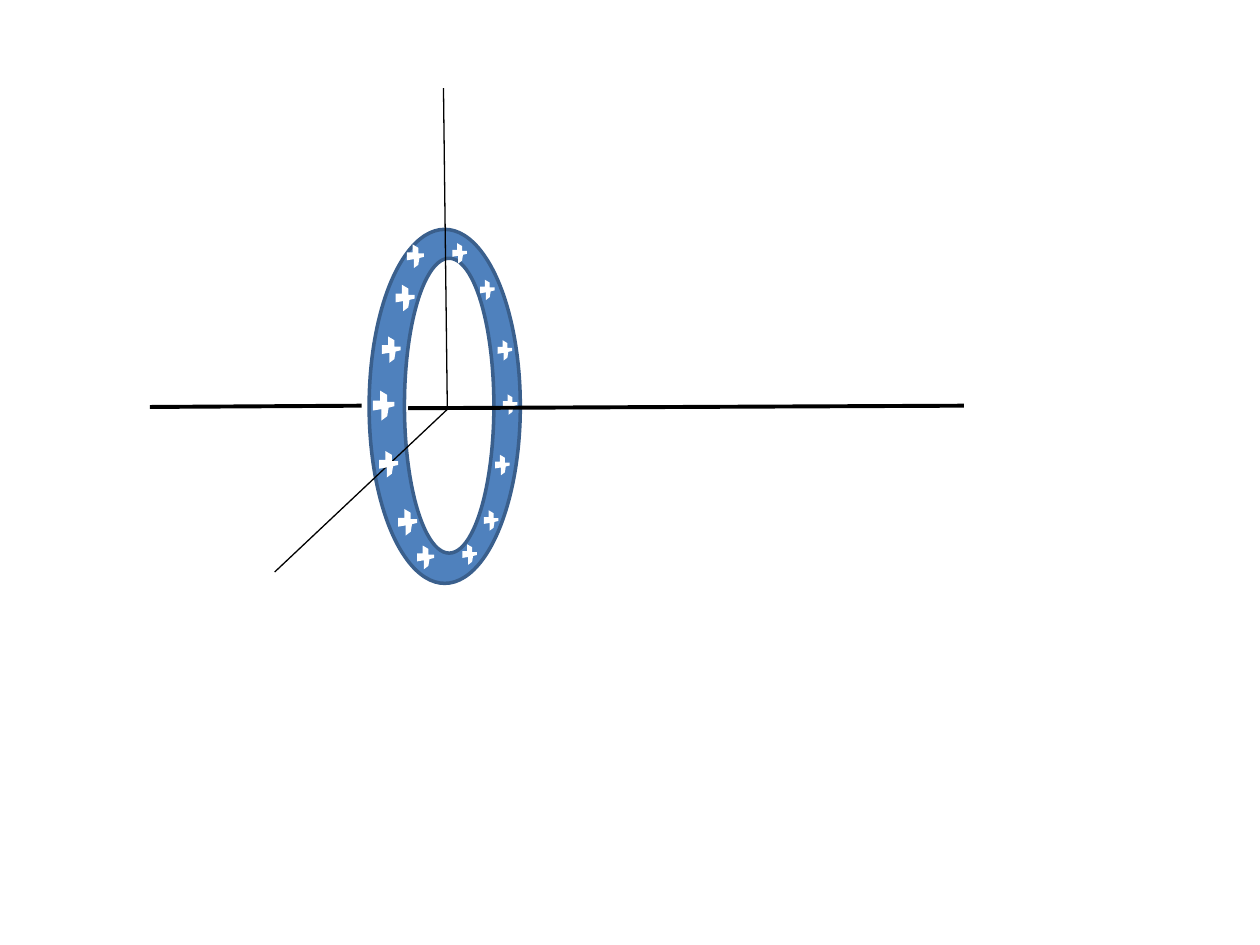
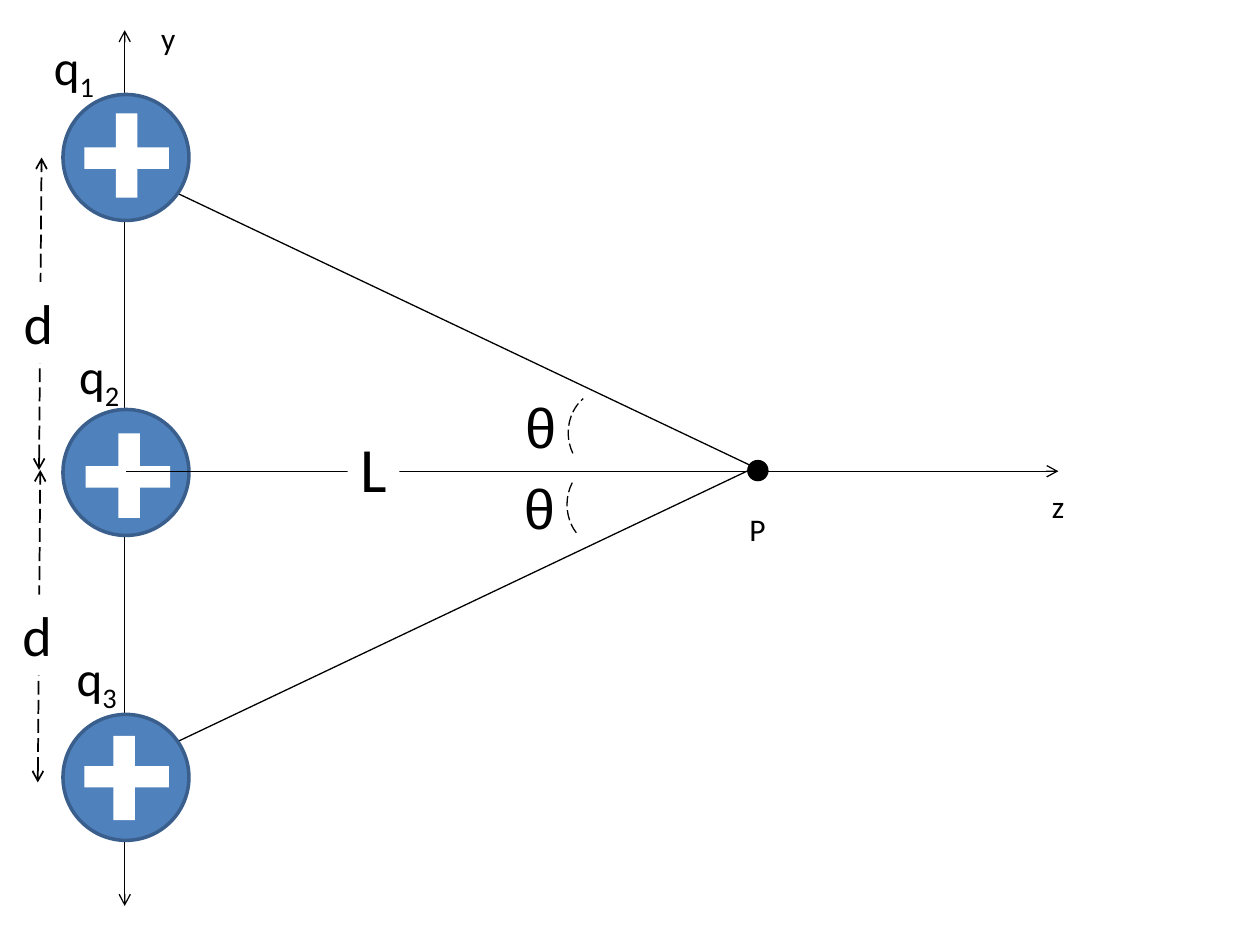
from dataclasses import dataclass

from lxml import etree
from pptx import Presentation
from pptx import util as u
from pptx.dml.color import RGBColor
from pptx.enum import dml, shapes, text
from pptx.oxml import ns

BLUE, EDGE, BLACK, WHITE = "4F81BD", "3A5F8C", "000000", "FFFFFF"
BODY_FONT, SYMBOL_FONT = "Calibri", "Arial"
Point = tuple[float, float]
Box = tuple[float, float, float, float]


@dataclass
class RingMark:
    """A plus sign on the ring, with its scale against the common size."""
    left: float
    top: float
    scale: float


@dataclass
class Charge:
    """A numbered charge: ball, label and the two bars of its plus sign."""
    number: str
    top: float
    label: Point
    level_bar: Point
    upright_bar: Point


@dataclass
class Dimension:
    """A dashed vertical measure of the spacing d."""
    x: float
    top: float


# Shared drawing functions
def colour(value: str) -> RGBColor:
    return RGBColor.from_string(value)


def style(shape, fill: str | None, line: str | None = None, width: float = 0.75):
    shape.shadow.inherit = False
    if fill:
        shape.fill.solid()
        shape.fill.fore_color.rgb = colour(fill)
    else:
        shape.fill.background()
    if line:
        shape.line.color.rgb = colour(line)
        shape.line.width = u.Pt(width)
    else:
        shape.line.fill.background()
    return shape


def add_preset(slide, kind, box: Box, fill: str | None, line: str | None = None,
               width: float = 0.75):
    shape = slide.shapes.add_shape(kind, *map(u.Inches, box))
    return style(shape, fill, line, width)


def add_ellipse(slide, box: Box, fill: str = BLUE, line: str | None = EDGE):
    return add_preset(slide, shapes.MSO_SHAPE.OVAL, box, fill, line, 2)


def add_line(slide, start: Point, end: Point, width: float = 0.75,
             dashed: bool = False, head: bool = False, tail: bool = False):
    line = slide.shapes.add_connector(shapes.MSO_CONNECTOR.STRAIGHT,
                                      *map(u.Inches, start + end))
    line.line.color.rgb = colour(BLACK)
    line.line.width = u.Pt(width)
    if dashed:
        line.line.dash_style = dml.MSO_LINE.LONG_DASH
    outline = line.line._get_or_add_ln()
    for wanted, tag in ((head, "a:headEnd"), (tail, "a:tailEnd")):
        if wanted:
            etree.SubElement(outline, ns.qn(tag), type="arrow")
    etree.SubElement(line._element.spPr, ns.qn("a:effectLst"))


def add_label(slide, words: str, box: Box, size: float = 18, font: str = BODY_FONT,
              subscript: str = "", fill: str | None = None, wrap: bool = False):
    if fill:
        shape = add_preset(slide, shapes.MSO_SHAPE.RECTANGLE, box, fill)
    else:
        shape = slide.shapes.add_textbox(*map(u.Inches, box))
    frame = shape.text_frame
    frame.word_wrap = wrap
    frame.auto_size = text.MSO_AUTO_SIZE.SHAPE_TO_FIT_TEXT
    frame.vertical_anchor = text.MSO_ANCHOR.TOP
    paragraph = frame.paragraphs[0]
    paragraph.alignment = text.PP_ALIGN.LEFT
    for part in filter(None, (words, subscript)):
        run = paragraph.add_run()
        run.text = part
        run.font.name = font
        run.font.size = u.Pt(size)
        run.font.color.rgb = colour(BLACK)
    if subscript:
        run._r.get_or_add_rPr().set("baseline", "-25000")


# Slide 1: charged ring
PLUS_OUTLINE = [(0, 0.07), (0, 0.14), (0.06, 0.13), (0.06, 0.21), (0.1, 0.18),
                (0.11, 0.12), (0.15, 0.11), (0.15, 0.08), (0.1, 0.08),
                (0.1, 0.03), (0.05, 0), (0.05, 0.07)]
SMALL, MEDIUM, NORMAL, LARGE = 0.77, 0.9, 1, 1.13
RING_MARKS = [
    RingMark(3.14, 2.26, NORMAL), RingMark(3.03, 2.67, NORMAL),
    RingMark(3.23, 1.94, MEDIUM), RingMark(3.59, 1.93, SMALL),
    RingMark(3.81, 2.22, SMALL), RingMark(3.95, 2.7, SMALL),
    RingMark(2.96, 3.1, LARGE), RingMark(3.99, 3.13, SMALL),
    RingMark(3.01, 3.58, NORMAL), RingMark(3.93, 3.61, SMALL),
    RingMark(3.16, 4.04, NORMAL), RingMark(3.84, 4.05, SMALL),
    RingMark(3.31, 4.33, MEDIUM), RingMark(3.67, 4.32, SMALL),
]


def add_ring_mark(slide, mark: RingMark):
    points = [(u.Inches(mark.left + x * mark.scale), u.Inches(mark.top + y * mark.scale))
              for x, y in PLUS_OUTLINE]
    builder = slide.shapes.build_freeform(*points[0])
    builder.add_line_segments(points[1:], close=True)
    style(builder.convert_to_shape(), WHITE)


def build_ring_slide(slide):
    add_ellipse(slide, (2.93, 1.82, 1.2, 2.81))
    add_ellipse(slide, (3.21, 2.05, 0.71, 2.34), WHITE)
    # Axes, then the plus signs with the front axis over the right-hand one
    add_line(slide, (1.19, 3.23), (2.87, 3.22), 2.25)
    add_line(slide, (3.55, 3.23), (3.52, 0.7))
    add_line(slide, (3.56, 3.24), (2.18, 4.54))
    for mark in RING_MARKS:
        add_ring_mark(slide, mark)
    add_line(slide, (3.24, 3.24), (7.65, 3.22), 2.25)


# Slide 2: three charges on the y axis
BAR_SIZE = (0.67, 0.17)
CHARGES = [
    Charge("1", 0.75, (0.33, 0.24), (0.67, 1.17), (0.67, 1.15)),
    Charge("2", 3.25, (0.53, 2.69), (0.68, 3.7), (0.69, 3.69)),
    Charge("3", 5.67, (0.51, 5.09), (0.67, 6.08), (0.65, 6.09)),
]
DIMENSIONS = [Dimension(0.33, 1.25), Dimension(0.32, 3.73)]


def add_charge(slide, charge: Charge):
    add_ellipse(slide, (0.5, charge.top, 1, 1))
    for place, angle in ((charge.level_bar, 0), (charge.upright_bar, 90)):
        bar = add_preset(slide, shapes.MSO_SHAPE.RECTANGLE, place + BAR_SIZE, WHITE)
        bar.rotation = angle
    add_label(slide, "q", charge.label + (0.54, 0.57), size=28, subscript=charge.number)


def add_dimension(slide, dimension: Dimension):
    x, top = dimension.x, dimension.top
    add_line(slide, (x - 0.02, top + 2.48), (x, top), 1, dashed=True, head=True, tail=True)
    add_label(slide, "d", (x - 0.24, top + 0.99, 0.33, 0.64), size=32, fill=WHITE, wrap=True)


def add_angle(slide, label: Point, arc: Point, start: float, end: float):
    add_label(slide, "θ", label + (0.58, 0.64), size=32, font=SYMBOL_FONT, wrap=True)
    curve = add_preset(slide, shapes.MSO_SHAPE.ARC, arc + (0.58, 0.67), None, BLACK)
    curve.adjustments[0], curve.adjustments[1] = start, end
    curve.line.dash_style = dml.MSO_LINE.LONG_DASH
    for flip in ("flipH", "flipV"):
        curve._element.spPr.xfrm.set(flip, "1")


def build_charges_slide(slide):
    # y axis and the two slanted lines to P
    add_line(slide, (0.99, 0.24), (0.99, 7.19), head=True, tail=True)
    add_line(slide, (5.99, 3.71), (1.02, 1.35))
    add_line(slide, (5.97, 3.72), (1, 6.08))
    for charge in CHARGES:
        add_charge(slide, charge)
    for dimension in DIMENSIONS:
        add_dimension(slide, dimension)
    add_angle(slide, (4.06, 3.71), (4.5, 3.67), 188.46, 23.43)
    add_angle(slide, (4.07, 3.07), (4.51, 3.1), 196.27, 34.66)
    # z axis, point P and labels
    add_ellipse(slide, (5.93, 3.65, 0.17, 0.17), BLACK, None)
    add_line(slide, (1, 3.74), (8.4, 3.74), tail=True)
    add_label(slide, "y", (1.18, 0.1, 0.32, 0.4))
    add_label(slide, "z", (8.25, 3.82, 0.3, 0.4))
    add_label(slide, "L", (2.76, 3.36, 0.41, 0.71), size=36, fill=WHITE)
    add_label(slide, "P", (5.85, 4, 0.33, 0.4))


presentation = Presentation()
presentation.slide_width, presentation.slide_height = u.Inches(10), u.Inches(7.5)
blank_layout = presentation.slide_layouts[6]
for build in (build_ring_slide, build_charges_slide):
    build(presentation.slides.add_slide(blank_layout))
presentation.save("out.pptx")
